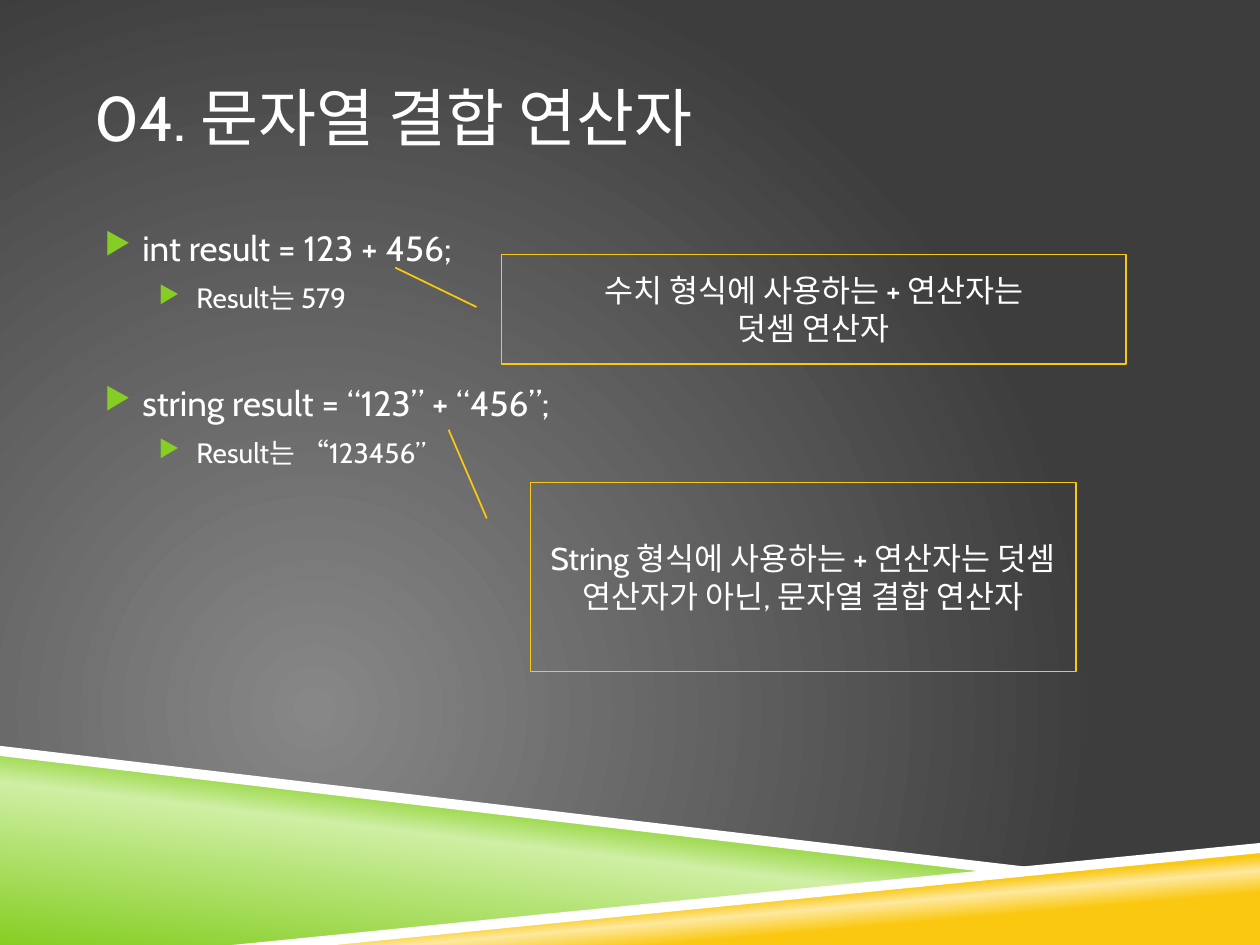
from dataclasses import dataclass

import pptx
import pptx.dml.color
import pptx.enum.shapes
import pptx.enum.text
import pptx.oxml
import pptx.oxml.ns
import pptx.util
from lxml import etree

Pt, Inches = pptx.util.Pt, pptx.util.Inches
qn = pptx.oxml.ns.qn
MIDDLE = pptx.enum.text.MSO_ANCHOR.MIDDLE
LEFT, CENTER = pptx.enum.text.PP_ALIGN.LEFT, pptx.enum.text.PP_ALIGN.CENTER
WIDTH, HEIGHT = Inches(10), Inches(7.5)


@dataclass(frozen=True)
class Theme:
    font: str = "Cabin"
    text: str = "FFFFFF"
    green: str = "86CE24"
    green_light: str = "CFEFA4"
    yellow: str = "FAC810"
    yellow_light: str = "FDE99F"
    glow: str = "878787"
    dark: str = "3D3D3D"
    title_size: int = 36
    callout_size: int = 18
    body_sizes: tuple = (20, 16)
    body_margins: tuple = (0.38, 0.81)


@dataclass(frozen=True)
class Box:
    """Place and size in percent of the slide."""
    left: float
    top: float
    width: float
    height: float

    def emu(self) -> tuple:
        return (across(self.left), down(self.top),
                across(self.width), down(self.height))


@dataclass(frozen=True)
class Band:
    points: tuple
    stops: tuple  # (position, colour); a single stop is a solid fill
    angle: int = 0


@dataclass(frozen=True)
class Bullet:
    text: str
    level: int
    before: int = 7


@dataclass(frozen=True)
class Callout:
    box: Box
    pointer: tuple
    lines: tuple


THEME = Theme()

BANDS = (
    Band(((0, 79.6), (79.2, 92.27), (20, 100), (0, 100)),
         ((0, THEME.green), (52, THEME.green_light), (66, THEME.green)), 277),
    Band(((19.8, 100), (100, 89.6), (100, 100)),
         ((28, THEME.yellow), (40, THEME.yellow_light), (48, THEME.yellow)), 265),
    Band(((0, 78.93), (0, 80), (79, 92.4), (83.2, 92)), ((0, THEME.text),)),
    Band(((100, 89.2), (18.4, 100), (26.6, 100), (100, 90.27)), ((0, THEME.text),)),
)

BULLETS = (
    Bullet("int result = 123 + 456;", 0, 0),
    Bullet("Result는 579", 1),
    Bullet("string result = “123” + “456”;", 0, 38),
    Bullet("Result는 “123456”", 1),
)

CALLOUTS = (
    Callout(Box(42.1, 51.07, 43.3, 20), (0.19, -0.08, -0.28, -0.15),
            ("String 형식에 사용하는 + 연산자는 덧셈 연산자가 아닌, 문자열 결합 연산자",)),
    Callout(Box(39.8, 26.93, 49.6, 11.6), (0.48, -0.04, 0.12, -0.17),
            ("수치 형식에 사용하는 + 연산자는", "덧셈 연산자")),
)


def across(share: float) -> int:
    return round(WIDTH * share / 100)


def down(share: float) -> int:
    return round(HEIGHT * share / 100)


def rgb(colour: str) -> pptx.dml.color.RGBColor:
    return pptx.dml.color.RGBColor.from_string(colour)


def apply(obj, formats: dict) -> None:
    for name, value in formats.items():
        setattr(obj, name, value)


def style_font(font, size: int) -> None:
    apply(font, {"name": THEME.font, "size": Pt(size), "bold": False})
    font.color.rgb = rgb(THEME.text)


def set_gradient(fill, owner, stops: tuple, direction: str) -> None:
    """Fill with the stops; direction is the a:lin or a:path element."""
    fill.gradient()
    grad = next(owner.iter(qn("a:gradFill")))
    for child in list(grad):
        grad.remove(child)
    gs_list = etree.SubElement(grad, qn("a:gsLst"))
    for position, colour in stops:
        gs = etree.SubElement(gs_list, qn("a:gs"), pos=str(position * 1000))
        etree.SubElement(gs, qn("a:srgbClr"), val=colour)
    grad.append(pptx.oxml.parse_xml(direction))


def draw_background(s) -> None:
    ns = pptx.oxml.ns.nsdecls("a")
    set_gradient(s.background.fill, s.element,
                 ((0, THEME.glow), (100, THEME.dark)),
                 f'<a:path {ns} path="circle"><a:fillToRect l="50000" t="100000" '
                 'r="100000" b="50000"/></a:path>')


def draw_band(s, band: Band) -> None:
    first, *rest = [(across(x), down(y)) for x, y in band.points]
    builder = s.shapes.build_freeform(*first)
    builder.add_line_segments(rest, close=True)
    sp = builder.convert_to_shape()
    sp.shadow.inherit = False
    sp.line.fill.background()
    if len(band.stops) == 1:
        sp.fill.solid()
        sp.fill.fore_color.rgb = rgb(band.stops[0][1])
    else:
        ns = pptx.oxml.ns.nsdecls("a")
        set_gradient(sp.fill, sp.element.spPr, band.stops,
                     f'<a:lin {ns} ang="{band.angle * 60000}" scaled="0"/>')


def frame_text(tf, **formats) -> None:
    apply(tf, {"word_wrap": True, "auto_size": pptx.enum.text.MSO_AUTO_SIZE.NONE,
               **formats})


def draw_title(s, box: Box, text: str) -> None:
    sp = s.shapes.title
    apply(sp, dict(zip(("left", "top", "width", "height"), box.emu())))
    tf = sp.text_frame
    frame_text(tf, margin_left=0, margin_right=0, vertical_anchor=MIDDLE)
    p = tf.paragraphs[0]
    p.alignment = LEFT
    r = p.add_run()
    r.text = text
    style_font(r.font, THEME.title_size)


def draw_bullets(s, box: Box, bullets: tuple) -> None:
    tf = s.shapes.add_textbox(*box.emu()).text_frame
    frame_text(tf, margin_left=0, margin_right=0)
    for i, bullet in enumerate(bullets):
        p = tf.paragraphs[0] if i == 0 else tf.add_paragraph()
        pPr = p._p.get_or_add_pPr()
        pPr.set("marL", str(Inches(THEME.body_margins[bullet.level])))
        pPr.set("indent", str(Inches(-0.3)))
        colour = etree.SubElement(pPr, qn("a:buClr"))
        etree.SubElement(colour, qn("a:srgbClr"), val=THEME.green)
        etree.SubElement(pPr, qn("a:buSzPct"), val="85000")
        etree.SubElement(pPr, qn("a:buChar"), char="▶")
        apply(p, {"level": bullet.level, "space_before": Pt(bullet.before)})
        r = p.add_run()
        r.text = bullet.text
        style_font(r.font, THEME.body_sizes[bullet.level])


def draw_callout(s, callout: Callout) -> None:
    kind = pptx.enum.shapes.MSO_SHAPE.LINE_CALLOUT_1
    sp = s.shapes.add_shape(kind, *callout.box.emu())
    for i, value in enumerate(callout.pointer):
        sp.adjustments[i] = value
    sp.shadow.inherit = False
    sp.fill.background()
    sp.line.color.rgb = rgb(THEME.yellow)
    sp.line.width = Pt(1)
    tf = sp.text_frame
    frame_text(tf, vertical_anchor=MIDDLE)
    for i, line in enumerate(callout.lines):
        p = tf.paragraphs[0] if i == 0 else tf.add_paragraph()
        p.alignment = CENTER
        r = p.add_run()
        r.text = line
        style_font(r.font, THEME.callout_size)


def main() -> None:
    prs = pptx.Presentation()
    apply(prs, {"slide_width": WIDTH, "slide_height": HEIGHT})
    s = prs.slides.add_slide(prs.slide_layouts.get_by_name("Title Only"))
    # Backdrop
    draw_background(s)
    for band in BANDS:
        draw_band(s, band)
    # Title and code lines
    draw_title(s, Box(7.5, 4, 85, 16.67), "04. 문자열 결합 연산자")
    draw_bullets(s, Box(7.5, 23.33, 85, 54.4), BULLETS)
    # Explanations
    for callout in CALLOUTS:
        draw_callout(s, callout)
    prs.save("out.pptx")


if __name__ == "__main__":
    main()
